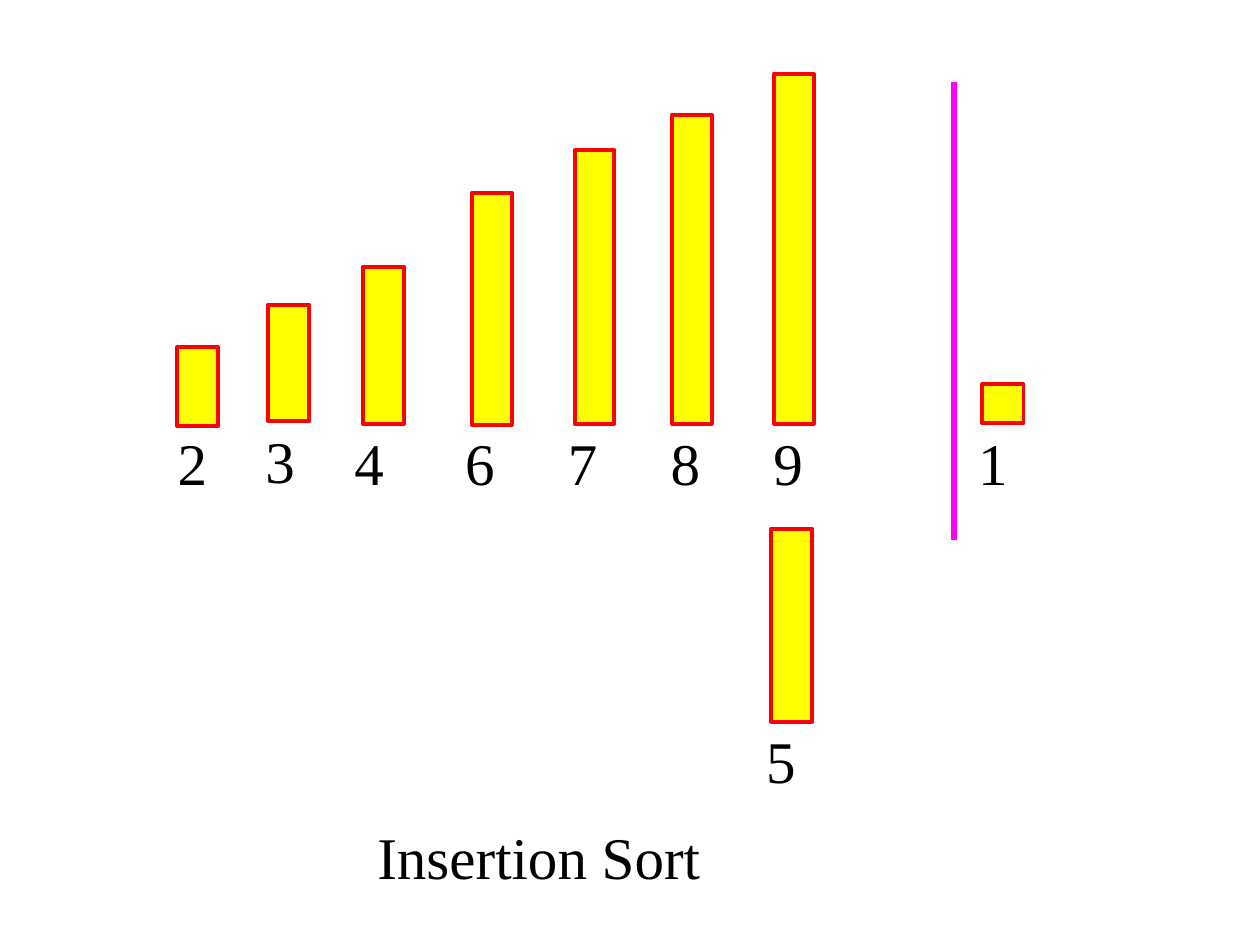
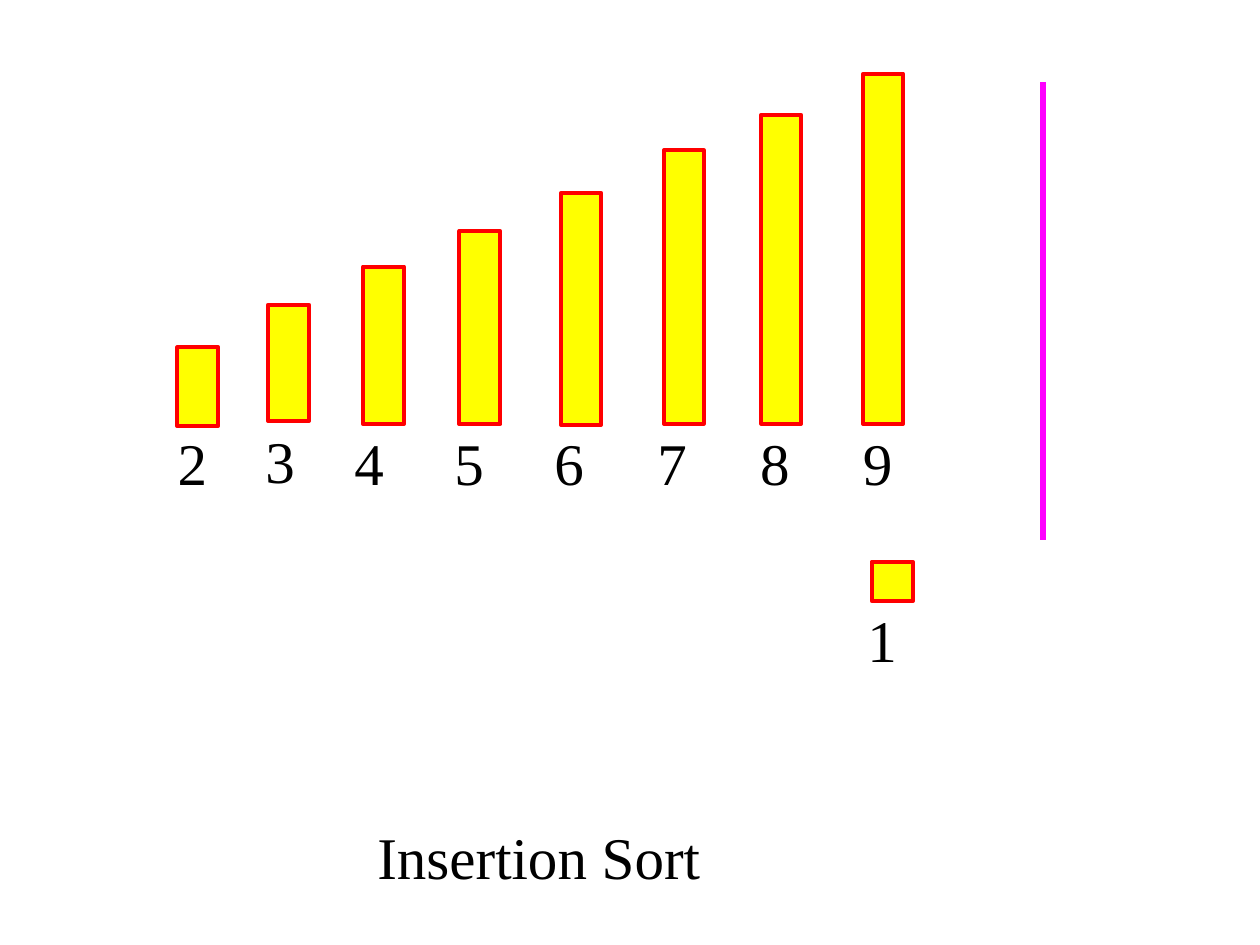
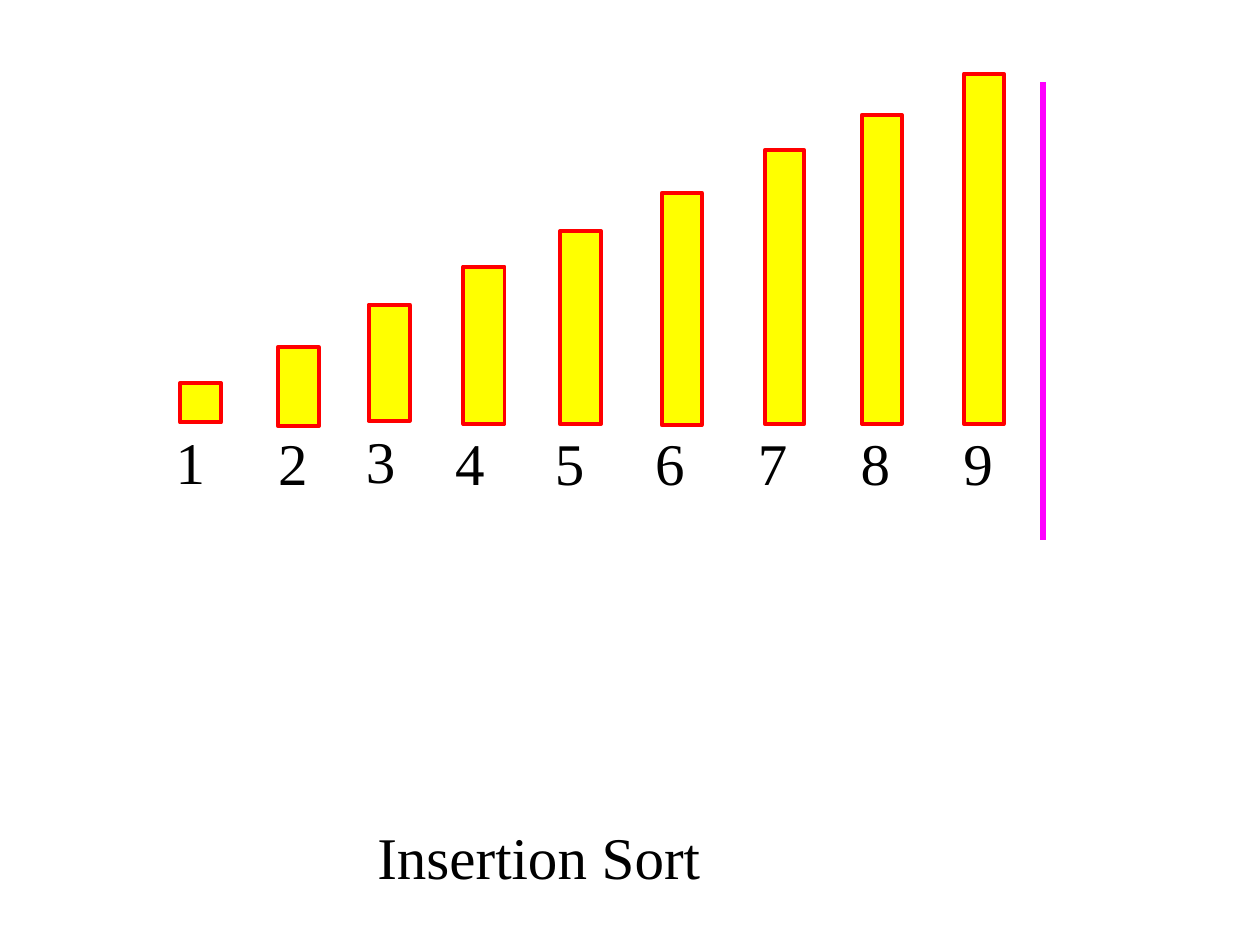
from dataclasses import dataclass

from lxml.etree import SubElement
from pptx import Presentation
from pptx.dml.color import RGBColor
from pptx.enum.shapes import MSO_CONNECTOR, MSO_SHAPE
from pptx.enum.text import MSO_AUTO_SIZE
from pptx.oxml.ns import qn
from pptx.shapes.shapetree import GroupShapes, SlideShapes
from pptx.util import Pt

COLORS = {"fill": "FFFF00", "outline": "FF0000", "divider": "FF00FF", "text": "000000"}
FONT = {"name": "Times New Roman", "size": Pt(30), "bold": False}
FRAME = {
    "margin_left": Pt(1.6),
    "margin_top": Pt(1.6),
    "margin_right": Pt(1.6),
    "margin_bottom": Pt(1.6),
    "word_wrap": False,
    "auto_size": MSO_AUTO_SIZE.SHAPE_TO_FIT_TEXT,
}
LABEL_HEIGHT = 38.2
LABEL_WIDTH = 18.7
MAKE_ROOM = 51.1
FIVE_GAP = 45.4


@dataclass(frozen=True)
class Bar:
    value: int
    left: float
    top: float
    width: float
    height: float
    label_dx: float
    label_top: float


@dataclass(frozen=True)
class Move:
    dx: float
    dy: float = 0


@dataclass(frozen=True)
class Step:
    moves: dict[int, Move]
    divider_x: float


BARS = [
    Bar(1, 91.4, 194.6, 20.9, 20, -3.8, 214.4),
    Bar(2, 141.1, 176.4, 20.9, 40, -1.4, 215.3),
    Bar(3, 187.2, 154.8, 20.9, 59, -2.9, 213.8),
    Bar(4, 235.4, 135.4, 20.9, 80, -5.8, 215.3),
    Bar(5, 284.4, 117.4, 20.9, 98, -4.1, 215.3),
    Bar(6, 336.2, 97.9, 20.2, 118, -5, 214.9),
    Bar(7, 388.4, 76.3, 20.2, 139, -5, 215.3),
    Bar(8, 437.8, 58.3, 20.2, 157, -2.2, 215.3),
    Bar(9, 489.6, 37.4, 20.2, 178, -1.8, 215.3),
]

BEFORE_ONE = {v: Move(-MAKE_ROOM) for v in range(2, 10)}
BEFORE_FIVE = BEFORE_ONE | {v: Move(-MAKE_ROOM - FIVE_GAP) for v in range(6, 10)}
STEPS = [
    Step(BEFORE_FIVE | {1: Move(407.6, 0.5), 5: Move(107.3, 151.2)}, 484.6),
    Step(BEFORE_ONE | {1: Move(351.4, 90.7)}, 530),
    Step({}, 530),
]


def color(name: str) -> RGBColor:
    return RGBColor.from_string(COLORS[name])


def add_label(shapes: SlideShapes | GroupShapes, text: str,
              left: float, top: float, width: float) -> None:
    sp = shapes.add_textbox(Pt(left), Pt(top), Pt(width), Pt(LABEL_HEIGHT))
    tf = sp.text_frame
    for key, value in FRAME.items():
        setattr(tf, key, value)
    p = tf.paragraphs[0]
    p.line_spacing = Pt(36)
    r = p.add_run()
    r.text = text
    for key, value in FONT.items():
        setattr(r.font, key, value)
    r.font.color.rgb = color("text")


def add_bar(shapes: SlideShapes, bar: Bar, move: Move) -> None:
    group = shapes.add_group_shape()
    left = bar.left + move.dx
    add_label(group.shapes, str(bar.value), left + bar.label_dx,
              bar.label_top + move.dy, LABEL_WIDTH)
    sp = group.shapes.add_shape(MSO_SHAPE.RECTANGLE, Pt(left), Pt(bar.top + move.dy),
                                Pt(bar.width), Pt(bar.height))
    sp.shadow.inherit = False
    sp.fill.solid()
    sp.fill.fore_color.rgb = color("fill")
    sp.line.color.rgb = color("outline")
    sp.line.width = Pt(2)


def add_divider(shapes: SlideShapes, x: float) -> None:
    line = shapes.add_connector(MSO_CONNECTOR.STRAIGHT, Pt(x), Pt(41.8), Pt(x), Pt(274.3))
    line.line.color.rgb = color("divider")
    line.line.width = Pt(3)
    SubElement(line._element.spPr, qn("a:effectLst"))


def main() -> None:
    prs = Presentation()
    prs.slide_width, prs.slide_height = Pt(640), Pt(480)
    for step in STEPS:
        s = prs.slides.add_slide(prs.slide_layouts[6])
        for bar in BARS:
            add_bar(s.shapes, bar, step.moves.get(bar.value, Move(0)))
        add_label(s.shapes, "Insertion Sort", 190.1, 415.4, 168.5)
        add_divider(s.shapes, step.divider_x)
    prs.save("out.pptx")


if __name__ == "__main__":
    main()
